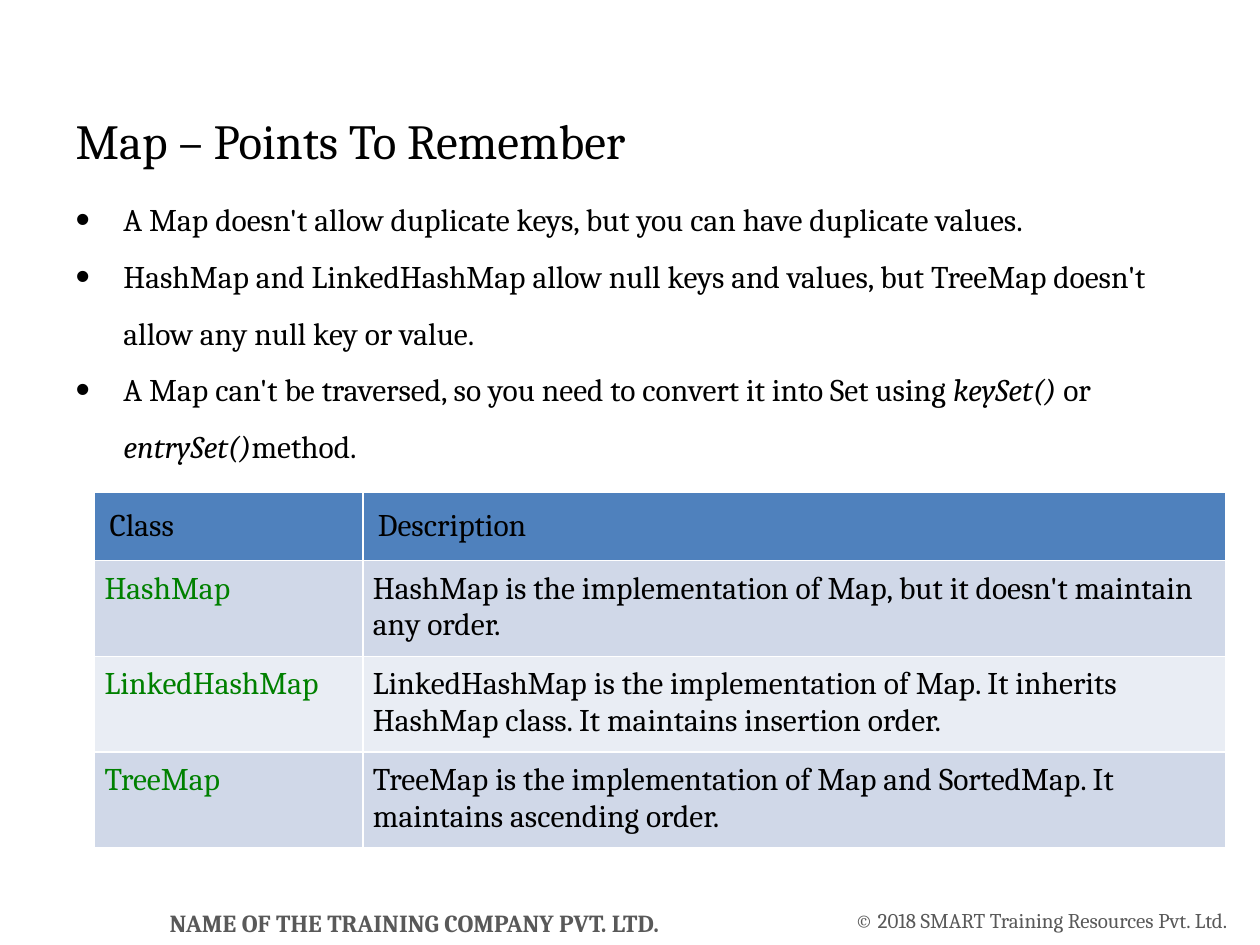
"""Build the slide on points to remember about Map, with a table of its classes."""
from lxml import etree
from pptx import Presentation
from pptx import util as u
from pptx.dml import color
from pptx.enum import text
from pptx.oxml import ns

FONT = "Cambria"
COLORS = {
    "text": "000000",
    "class": "008000",
    "footer": "595959",
    "header": "4F81BD",
    "odd_row": "D0D8E8",
    "even_row": "E9EDF4",
    "border": "FFFFFF",
}
POINTS = [
    [("A Map doesn't allow duplicate keys, but you can have duplicate values.", False)],
    [("HashMap and LinkedHashMap allow null keys and values, but TreeMap doesn't "
      "allow any null key or value.", False)],
    [("A Map can't be traversed, so you need to convert it into Set using ", False),
     ("keySet()", True), (" or ", False), ("entrySet()", True), ("method.", False)],
]
CLASSES = [
    ("Class", "Description"),
    ("HashMap", "HashMap is the implementation of Map, but it doesn't maintain any order."),
    ("LinkedHashMap", "LinkedHashMap is the implementation of Map. It inherits HashMap class. "
                      "It maintains insertion order."),
    ("TreeMap", "TreeMap is the implementation of Map and SortedMap. It maintains ascending order."),
]


def rgb(name):
    return color.RGBColor.from_string(COLORS[name])


def add_run(paragraph, words, size, ink="text", bold=False, italic=False):
    run = paragraph.add_run()
    run.text = words
    run.font.name = FONT
    run.font.size = u.Pt(size)
    run.font.bold = bold
    run.font.italic = italic
    run.font.color.rgb = rgb(ink)


def place(holder, left, top, width, height):
    holder.left, holder.top = u.Inches(left), u.Inches(top)
    holder.width, holder.height = u.Inches(width), u.Inches(height)
    frame = holder.text_frame
    frame.auto_size = text.MSO_AUTO_SIZE.NONE
    frame.vertical_anchor = text.MSO_ANCHOR.TOP
    return frame


def add_child(parent, tag, **attributes):
    return etree.SubElement(parent, ns.qn(tag), **attributes)


def set_bullet(paragraph):
    indent = u.Inches(0.38)
    properties = paragraph._p.get_or_add_pPr()
    properties.set("marL", str(indent))
    properties.set("indent", str(-indent))
    add_child(properties, "a:buSzPct", val="130000")
    add_child(properties, "a:buFont", typeface="Arial")
    add_child(properties, "a:buChar", char="•")


def fill_title(title):
    heading = place(title, 0.5, 0.83, 9, 1).paragraphs[0]
    heading.alignment = text.PP_ALIGN.LEFT
    add_run(heading, "Map – Points To Remember", 28)


def fill_points(body):
    frame = place(body, 0.5, 1.39, 9, 5.15)
    for index, point in enumerate(POINTS):
        paragraph = frame.add_paragraph() if index else frame.paragraphs[0]
        set_bullet(paragraph)
        paragraph.line_spacing = 1.5
        paragraph.space_before = u.Pt(0)
        for words, italic in point:
            add_run(paragraph, words, 18, italic=italic)


def set_borders(cell):
    properties = cell._tc.get_or_add_tcPr()
    for side in ("a:lnL", "a:lnR", "a:lnT", "a:lnB"):
        line = add_child(properties, side, w=str(u.Pt(1)))
        add_child(add_child(line, "a:solidFill"), "a:srgbClr", val=COLORS["border"])


def fill_cell(cell, words, ink, fill, margin):
    set_borders(cell)
    cell.fill.solid()
    cell.fill.fore_color.rgb = rgb(fill)
    cell.margin_left = cell.margin_right = u.Inches(margin)
    cell.margin_top = cell.margin_bottom = u.Inches(margin)
    add_run(cell.text_frame.paragraphs[0], words, 18, ink)


def add_class_table(slide):
    frame = slide.shapes.add_table(len(CLASSES), 2, u.Inches(0.75), u.Inches(3.91),
                                   u.Inches(8.98), u.Inches(2.76))
    table = frame.table
    for column, width in zip(table.columns, (2.13, 6.85)):
        column.width = u.Inches(width)
    for index, entry in enumerate(CLASSES):
        header = index == 0
        table.rows[index].height = u.Inches(0.54 if header else 0.74)
        fill = "header" if header else "odd_row" if index % 2 else "even_row"
        for column, words in enumerate(entry):
            ink = "text" if header or column else "class"
            fill_cell(table.cell(index, column), words, ink, fill, 0.12 if header else 0.08)


def add_footer(slide, words, left, width, height, size, bold=False, wrap=True):
    box = slide.shapes.add_textbox(u.Inches(left), u.Inches(7.2), u.Inches(width), u.Inches(height))
    frame = box.text_frame
    frame.word_wrap = wrap
    frame.vertical_anchor = text.MSO_ANCHOR.MIDDLE
    frame.margin_left = frame.margin_right = frame.margin_top = frame.margin_bottom = 0
    paragraph = frame.paragraphs[0]
    paragraph.alignment = text.PP_ALIGN.CENTER
    add_run(paragraph, words, size, "footer", bold)


def main():
    deck = Presentation()
    deck.slide_width, deck.slide_height = u.Inches(10), u.Inches(7.5)
    slide = deck.slides.add_slide(deck.slide_layouts[1])
    add_footer(slide, "NAME OF THE TRAINING COMPANY PVT. LTD.", 0.83, 4.92, 0.24, 14, bold=True)
    add_footer(slide, "© 2018 SMART Training Resources Pvt. Ltd.", 6.67, 3.19, 0.2, 12, wrap=False)
    fill_title(slide.shapes.title)
    fill_points(slide.placeholders[1])
    add_class_table(slide)
    deck.save("out.pptx")


if __name__ == "__main__":
    main()
